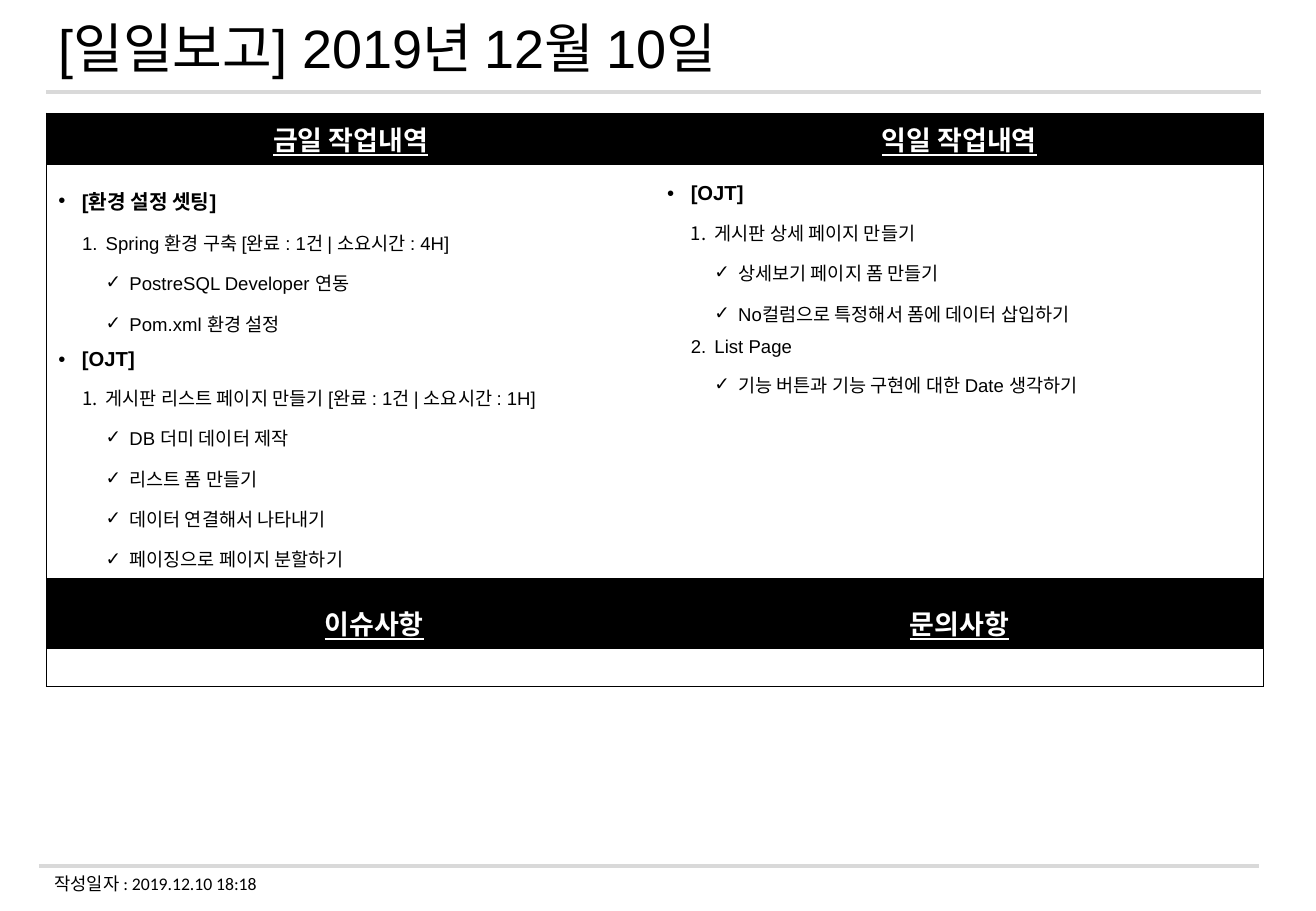
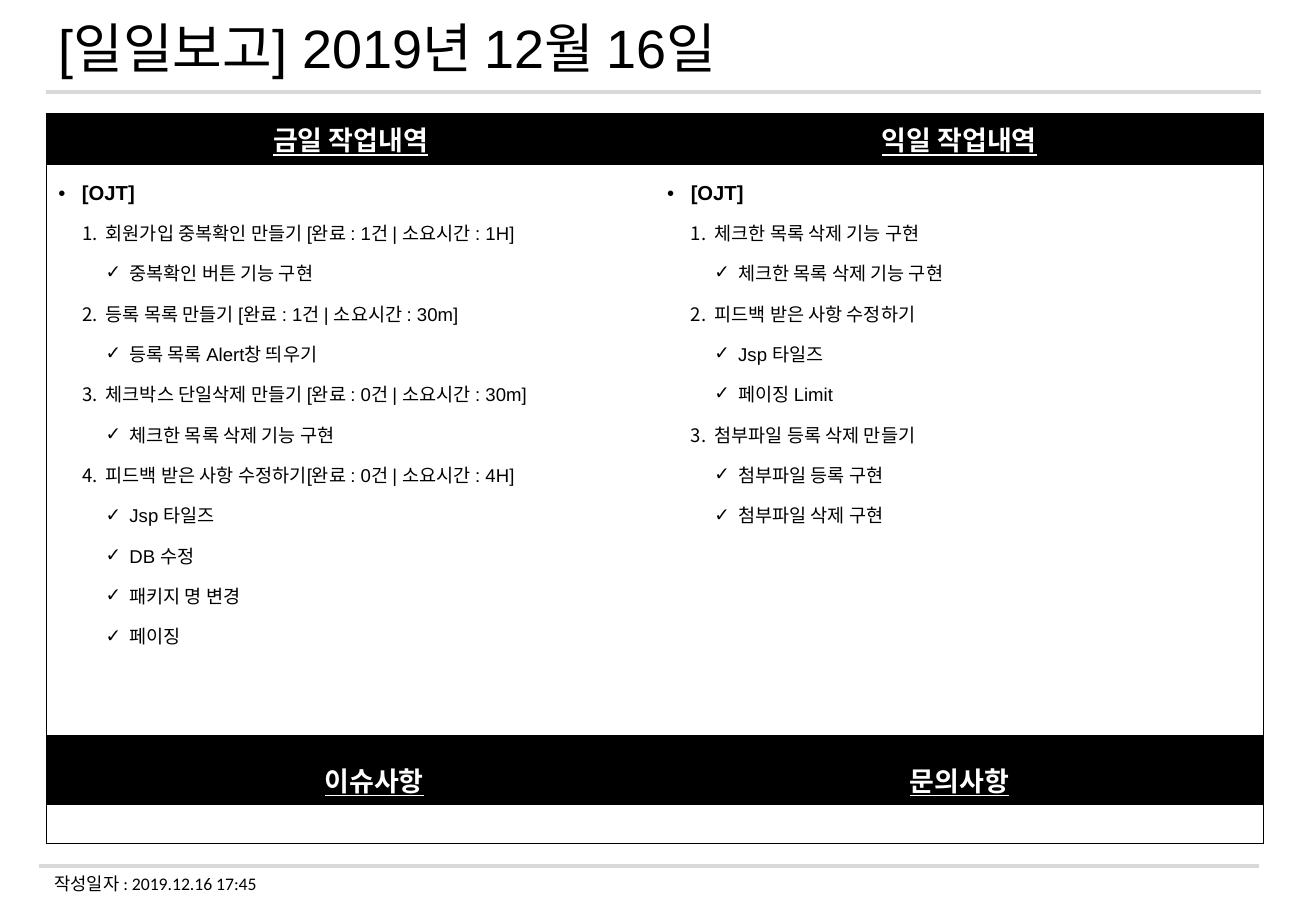
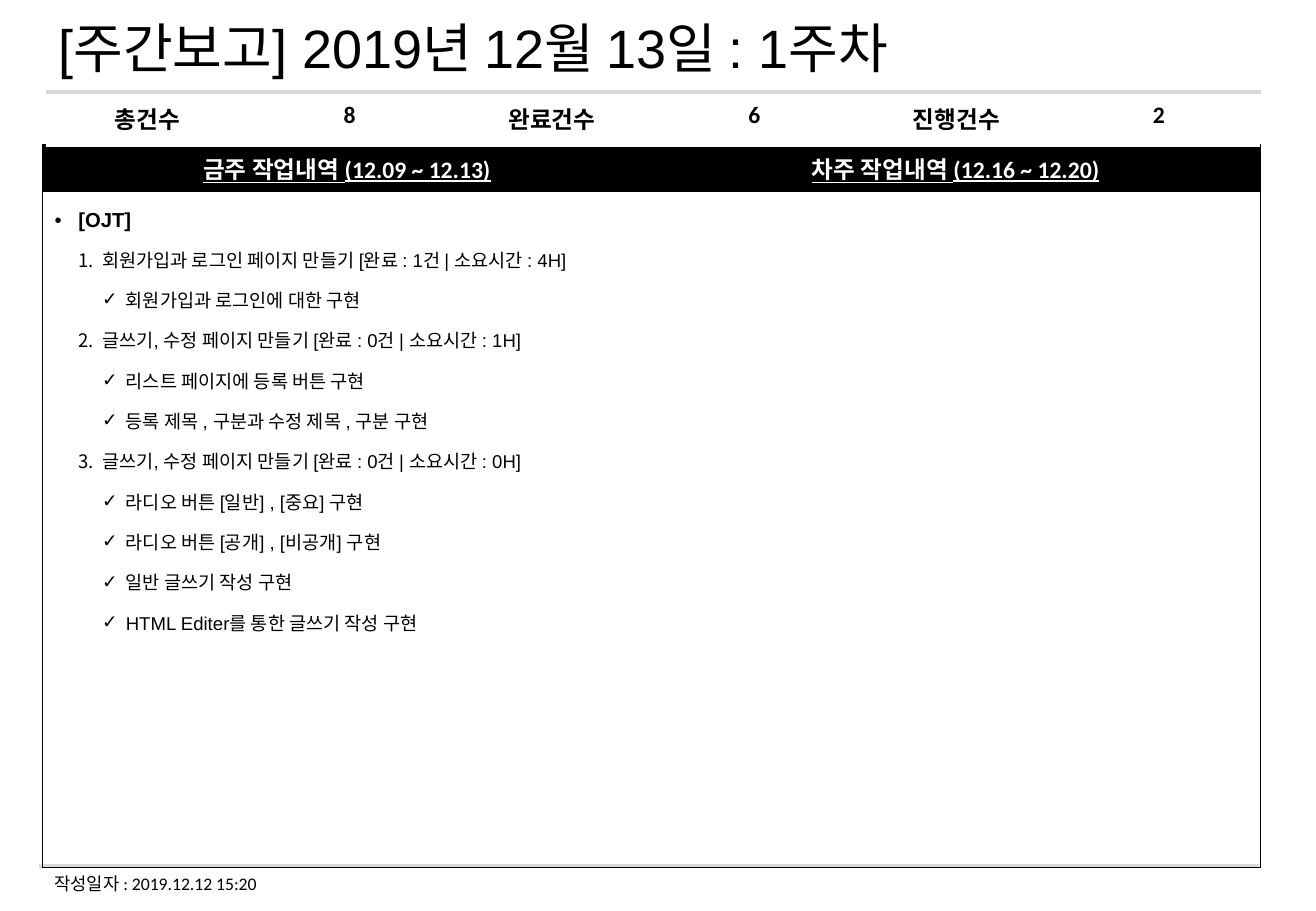
from dataclasses import dataclass
from typing import Optional

from lxml.etree import SubElement
from pptx import Presentation
from pptx.dml.color import RGBColor
from pptx.enum.shapes import MSO_CONNECTOR
from pptx.enum.text import MSO_ANCHOR, MSO_AUTO_SIZE, PP_ALIGN
from pptx.oxml.ns import qn
from pptx.util import Inches, Pt

NO_GRID_STYLE = "{2D5ABB26-0587-4C30-8999-92F81FD0307C}"


@dataclass(frozen=True)
class Theme:
    ink: RGBColor = RGBColor(0x00, 0x00, 0x00)
    paper: RGBColor = RGBColor(0xFF, 0xFF, 0xFF)
    rule: RGBColor = RGBColor(0xD9, 0xD9, 0xD9)
    sans: str = "Arial"
    humanist: str = "Calibri"
    title: float = 32
    daily_heading: float = 16
    weekly_heading: float = 14
    topic: float = 12
    detail: float = 11
    footer: float = 10.5
    rule_width: float = 2.25
    frame_width: float = 0.5
    gap_width: float = 3


THEME = Theme()


@dataclass(frozen=True)
class Entry:
    level: int
    text: str


@dataclass(frozen=True)
class Plan:
    heading: str
    entries: tuple[Entry, ...] = ()


@dataclass(frozen=True)
class Report:
    title: str
    written: str
    done: Plan
    upcoming: Plan
    body_height: float
    counts: Optional[dict[str, str]] = None

    @property
    def weekly(self) -> bool:
        return self.counts is not None


def topic(text: str) -> Entry:
    return Entry(0, text)


def task(text: str) -> Entry:
    return Entry(1, text)


def step(text: str) -> Entry:
    return Entry(2, text)


REPORTS = (
    Report(
        "[일일보고] 2019년 12월 10일",
        "작성일자 : 2019.12.10 18:18",
        Plan("금일 작업내역", (
            topic("[환경 설정 셋팅]"),
            task("Spring 환경 구축 [완료 : 1건 | 소요시간 : 4H]"),
            step("PostreSQL Developer 연동"),
            step("Pom.xml 환경 설정"),
            topic("[OJT]"),
            task("게시판 리스트 페이지 만들기 [완료 : 1건 | 소요시간 : 1H]"),
            step("DB 더미 데이터 제작"),
            step("리스트 폼 만들기"),
            step("데이터 연결해서 나타내기"),
            step("페이징으로 페이지 분할하기"),
        )),
        Plan("익일 작업내역", (
            topic("[OJT]"),
            task("게시판 상세 페이지 만들기"),
            step("상세보기 페이지 폼 만들기"),
            step("No컬럼으로 특정해서 폼에 데이터 삽입하기"),
            task("List Page"),
            step("기능 버튼과 기능 구현에 대한 Date 생각하기"),
        )),
        body_height=3.39,
    ),
    Report(
        "[일일보고] 2019년 12월 16일",
        "작성일자 : 2019.12.16 17:45",
        Plan("금일 작업내역", (
            topic("[OJT]"),
            task("회원가입 중복확인 만들기 [완료 : 1건 | 소요시간 : 1H]"),
            step("중복확인 버튼 기능 구현"),
            task("등록 목록 만들기 [완료 : 1건 | 소요시간 : 30m]"),
            step("등록 목록 Alert창 띄우기"),
            task("체크박스 단일삭제 만들기 [완료 : 0건 | 소요시간 : 30m]"),
            step("체크한 목록 삭제 기능 구현"),
            task("피드백 받은 사항 수정하기[완료 : 0건 | 소요시간 : 4H]"),
            step("Jsp 타일즈"),
            step("DB 수정"),
            step("패키지 명 변경"),
            step("페이징"),
        )),
        Plan("익일 작업내역", (
            topic("[OJT]"),
            task("체크한 목록 삭제 기능 구현"),
            step("체크한 목록 삭제 기능 구현"),
            task("피드백 받은 사항 수정하기"),
            step("Jsp 타일즈"),
            step("페이징 Limit"),
            task("첨부파일 등록 삭제 만들기"),
            step("첨부파일 등록 구현"),
            step("첨부파일 삭제 구현"),
        )),
        body_height=4.69,
    ),
    Report(
        "[주간보고] 2019년 12월 13일 : 1주차",
        "작성일자 : 2019.12.12 15:20",
        Plan("금주 작업내역 (12.09 ~ 12.13)", (
            topic("[OJT]"),
            task("회원가입과 로그인 페이지 만들기 [완료 : 1건 | 소요시간 : 4H]"),
            step("회원가입과 로그인에 대한 구현"),
            task("글쓰기, 수정 페이지 만들기 [완료 : 0건 | 소요시간 : 1H]"),
            step("리스트 페이지에 등록 버튼 구현"),
            step("등록 제목 , 구분과 수정 제목 , 구분 구현"),
            task("글쓰기, 수정 페이지 만들기 [완료 : 0건 | 소요시간 : 0H]"),
            step("라디오 버튼 [일반] , [중요] 구현"),
            step("라디오 버튼 [공개] , [비공개] 구현"),
            step("일반 글쓰기 작성 구현"),
            step("HTML Editer를 통한 글쓰기 작성 구현"),
        )),
        Plan("차주 작업내역 (12.16 ~ 12.20)"),
        body_height=5.56,
        counts={"총건수": "8", "완료건수": "6", "진행건수": "2"},
    ),
)


def format_runs(paragraph, size: float, font: str, color: RGBColor,
                bold: bool = False, underline: bool = False) -> None:
    for run in paragraph.runs:
        run.font.size = Pt(size)
        run.font.name = font
        run.font.color.rgb = color
        run.font.bold = bold
        run.font.underline = underline


def add_plain_table(slide, left: float, top: float, widths: list[float], heights: list[float]):
    """Add a table without grid or banding."""
    frame = slide.shapes.add_table(
        len(heights), len(widths), Inches(left), Inches(top),
        Inches(sum(widths)), Inches(sum(heights)))
    table = frame.table
    table.first_row = table.horz_banding = False
    table._tbl.tblPr.find(qn("a:tableStyleId")).text = NO_GRID_STYLE
    for column, width in zip(table.columns, widths):
        column.width = Inches(width)
    for row, height in zip(table.rows, heights):
        row.height = Inches(height)
    return table


def add_border(cell, side: str, width: float, color: RGBColor) -> None:
    """Draw one cell side (L, R, T or B); call in that order and before filling."""
    line = SubElement(cell._tc.get_or_add_tcPr(), qn(f"a:ln{side}"), w=str(Pt(width)))
    fill = SubElement(line, qn("a:solidFill"))
    SubElement(fill, qn("a:srgbClr"), val=str(color))


def frame_table(table) -> None:
    """Draw a thin line around the whole table."""
    last_row, last_column = len(table.rows) - 1, len(table.columns) - 1
    for r in range(last_row + 1):
        for c in range(last_column + 1):
            outer = {"L": c == 0, "R": c == last_column, "T": r == 0, "B": r == last_row}
            for side, is_outer in outer.items():
                if is_outer:
                    add_border(table.cell(r, c), side, THEME.frame_width, THEME.ink)


def write_heading(cell, text: str, size: float, font: str) -> None:
    cell.fill.solid()
    cell.fill.fore_color.rgb = THEME.ink
    cell.text_frame.text = text
    heading = cell.text_frame.paragraphs[0]
    heading.alignment = PP_ALIGN.CENTER
    format_runs(heading, size, font, THEME.paper, bold=True, underline=True)


def add_bullet(paragraph, level: int) -> None:
    properties = paragraph._p.get_or_add_pPr()
    hanging = Inches(0.195)
    properties.set("marL", str(hanging * (level + 1)))
    properties.set("indent", str(-hanging))
    SubElement(properties, qn("a:buFont"), typeface=THEME.sans)
    if level == 1:
        SubElement(properties, qn("a:buAutoNum"), type="arabicPeriod")
    else:
        SubElement(properties, qn("a:buChar"), char="•" if level == 0 else "✓")


def write_entries(cell, entries: tuple[Entry, ...]) -> None:
    cell.text_frame.text = "\n".join(entry.text for entry in entries)
    for paragraph, entry in zip(cell.text_frame.paragraphs, entries):
        is_topic = entry.level == 0
        paragraph.level = entry.level
        add_bullet(paragraph, entry.level)
        paragraph.line_spacing = 1.5
        format_runs(paragraph, THEME.topic if is_topic else THEME.detail,
                    THEME.sans, THEME.ink, bold=is_topic)


def write_remarks(table) -> None:
    """Fill the issue and question headings and keep the row under them low."""
    for c, remark in enumerate(("이슈사항", "문의사항")):
        cell = table.cell(2, c)
        write_heading(cell, remark, THEME.daily_heading, THEME.sans)
        cell.text_frame.paragraphs[0].line_spacing = 1.5
        blank = table.cell(3, c).text_frame.paragraphs[0]
        SubElement(blank._p, qn("a:endParaRPr"), sz=str(Pt(THEME.detail).centipoints))
    issue = table.cell(2, 0).text_frame.paragraphs[0]
    issue._p.get_or_add_pPr().set("marL", str(Inches(0.39)))


def add_work_table(slide, report: Report) -> None:
    if report.weekly:
        left, top, heights = 0.35, 1.19, [0.39, report.body_height]
        size, font = THEME.weekly_heading, THEME.humanist
    else:
        left, top, heights = 0.38, 0.93, [0.43, report.body_height, 0.58, 0.31]
        size, font = THEME.daily_heading, THEME.sans
    table = add_plain_table(slide, left, top, [5.01] * 2, heights)
    frame_table(table)
    for c, plan in enumerate((report.done, report.upcoming)):
        heading = table.cell(0, c)
        heading.vertical_anchor = MSO_ANCHOR.MIDDLE
        write_heading(heading, plan.heading, size, font)
        write_entries(table.cell(1, c), plan.entries)
    if not report.weekly:
        write_remarks(table)


def add_counts(slide, counts: dict[str, str]) -> None:
    values = [part for pair in counts.items() for part in pair]
    table = add_plain_table(slide, 0.38, 0.78, [9.99 / len(values)] * len(values), [0.41])
    for c, value in enumerate(values):
        cell = table.cell(0, c)
        add_border(cell, "B", THEME.gap_width, THEME.paper)
        cell.text_frame.text = value
        count = cell.text_frame.paragraphs[0]
        count.alignment = PP_ALIGN.CENTER
        format_runs(count, THEME.weekly_heading, THEME.humanist, THEME.ink, bold=True)


def write_title(slide, text: str) -> None:
    frame = slide.shapes.title.text_frame
    frame.text = text
    frame.auto_size = MSO_AUTO_SIZE.NONE
    frame.vertical_anchor = MSO_ANCHOR.MIDDLE
    title = frame.paragraphs[0]
    title.alignment = PP_ALIGN.LEFT
    title.line_spacing = 0.9
    format_runs(title, THEME.title, THEME.sans, THEME.ink)


def add_footer(slide, written: str) -> None:
    footer = slide.shapes.add_textbox(Inches(0.35), Inches(7.14), Inches(1.95), Inches(0.28))
    footer.text_frame.word_wrap = False
    footer.text_frame.text = written
    format_runs(footer.text_frame.paragraphs[0], THEME.footer, THEME.humanist, THEME.ink)


def add_report(deck, layout, report: Report):
    slide = deck.slides.add_slide(layout)
    write_title(slide, report.title)
    add_work_table(slide, report)
    if report.counts:
        add_counts(slide, report.counts)
    add_footer(slide, report.written)
    return slide


def add_layout_rules(layout, slide) -> None:
    """Draw the shared rules on a slide, then hand them to its layout."""
    for start, end, y in ((0.32, 10.36, 7.13), (0.38, 10.38, 0.76)):
        rule = slide.shapes.add_connector(
            MSO_CONNECTOR.STRAIGHT, Inches(start), Inches(y), Inches(end), Inches(y))
        rule.line.color.rgb = THEME.rule
        rule.line.width = Pt(THEME.rule_width)
        SubElement(rule._element.spPr, qn("a:effectLst"))
        layout.shapes._spTree.append(rule._element)


def main() -> None:
    deck = Presentation()
    deck.slide_width, deck.slide_height = Inches(10.83), Inches(7.5)
    layout = deck.slide_layouts.get_by_name("Title Only")
    title = layout.placeholders[0]
    title.left, title.top = Inches(0.38), Inches(0.16)
    title.width, title.height = Inches(10.02), Inches(0.52)
    slides = [add_report(deck, layout, report) for report in REPORTS]
    add_layout_rules(layout, slides[-1])
    deck.save("out.pptx")


if __name__ == "__main__":
    main()
